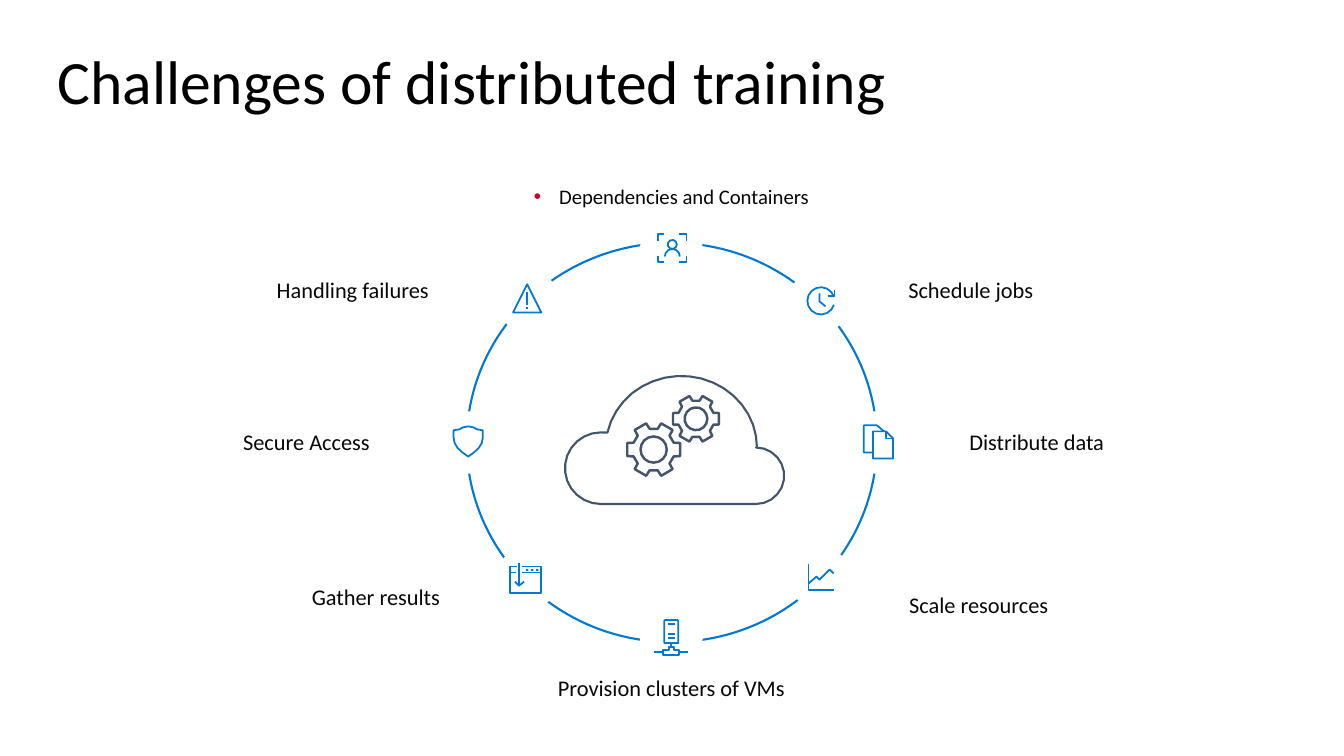
from math import cos, radians, sin, sqrt

from lxml import etree
from pptx import Presentation
from pptx import util as u
from pptx.dml.color import RGBColor
from pptx.enum import shapes, text
from pptx.oxml import ns

BLACK = RGBColor(0x00, 0x00, 0x00)
INK = RGBColor(0x08, 0x08, 0x08)
WHITE = RGBColor(0xFF, 0xFF, 0xFF)
BLUE = RGBColor(0x00, 0x78, 0xD4)
SLATE = RGBColor(0x44, 0x54, 0x6A)
BULLET_RED = "D3002D"

deck = Presentation()
deck.slide_width, deck.slide_height = u.Inches(40 / 3), u.Inches(7.5)
CELL = deck.slide_height / 750
FINE = 10
slide = deck.slides.add_slide(deck.slide_layouts[5])


def arc(cx, cy, rx, start, end, ry=None):
    steps = max(1, int(abs(end - start) * sqrt(rx) / 80))
    angles = [radians(start + (end - start) * i / steps) for i in range(steps + 1)]
    return [(cx + rx * cos(a), cy + (ry or rx) * sin(a)) for a in angles]


def draw(left, top, strokes, color, width, filled=False):
    moved = [[((left + x) * FINE, (top + y) * FINE) for x, y in s] for s in strokes]
    pen = slide.shapes.build_freeform(*moved[0][0], scale=CELL / FINE)
    for number, stroke in enumerate(moved):
        if number:
            pen.move_to(*stroke[0])
        pen.add_line_segments(stroke[1:], close=False)
    outline = pen.convert_to_shape()
    outline.shadow.inherit = False
    if filled:
        outline.fill.solid()
        outline.fill.fore_color.rgb = WHITE
    else:
        outline.fill.background()
    outline.line.color.rgb = color
    outline.line.width = u.Pt(width)


shield_side = [(14.5, 0), (19.5, 1), (23.5, 3), (29, 4), (29, 11),
               (27.9, 16.6), (24.9, 21.6), (20.1, 26), (14.5, 30)]
shield = shield_side + [(29 - x, y) for x, y in shield_side[-2::-1]]

person = [
    [(28, 22), (28, 28), (21, 28)], [(28, 7), (28, 0), (21, 0)],
    [(6, 0), (0, 0), (0, 7)], [(0, 22), (0, 28), (6, 28)],
    arc(14, 10.5, 4.5, 0, 360), arc(14, 22.5, 7.5, 0, -180),
]
clock = [
    [(18, 19), (12, 14), (12, 6)], [(20, 9), (27, 9), (27, 3)],
    arc(13.5, 13.5, 13.5, -17, -343),
]
documents = [
    [(29, 13), (22, 13), (22, 6)],
    [(29, 13), (22, 6), (9, 6), (9, 33), (29, 33), (29, 13)],
    [(20, 6), (13, 0), (0, 0), (0, 27), (9, 27)],
]
graph = [
    [(25, 25), (0, 25), (0, 0)],
    [(25, 9), (21, 5), (11, 15), (8, 12), (0, 19)],
]
server = [
    [(9, 35), (9, 30), (15, 30), (15, 27), (20, 27), (20, 30), (25, 30), (25, 35), (9, 35)],
    [(0, 32), (9, 32)], [(25, 32), (34, 32)], [(17, 27), (17, 23)],
    [(24, 23), (24, 1), (23, 0), (11, 0), (10, 1), (10, 23), (24, 23)],
] + [[(14, y), (21, y)] for y in (4, 14, 18)]
window = [
    [(12, 3), (31, 3), (31, 29), (0, 29), (0, 3), (7, 3)],
    [(12, 9), (31, 9)], [(0, 9), (6, 9)],
    [(5, 18), (9, 22), (14, 18)], [(9, 0), (9, 22)],
] + [arc(x, 6.5, 0.5, 0, 360 - 1) for x in (17, 22, 27)]
warning = [
    [(0, 28), (14, 0), (28, 28), (0, 28)],
    [(14, 8), (14, 21)], [(14, 23), (14, 25)],
]

BADGE = 62
badges = [
    (635, 215, 653, 232, person),
    (782, 268, 801, 285, clock),
    (839, 408, 857, 422, documents),
    (783, 543, 802, 560, graph),
    (635, 603, 649, 615, server),
    (492, 543, 506, 559, window),
    (433, 408, 450, 423, [shield]),
    (492, 267, 509, 282, warning),
]
ovals = [(463, 241, 407, 396)] + [(x, y, BADGE, BADGE) for x, y, *_ in badges]
for number, box in enumerate(ovals):
    oval = slide.shapes.add_shape(shapes.MSO_SHAPE.OVAL, *[round(v * CELL) for v in box])
    oval.shadow.inherit = False
    oval.fill.solid()
    oval.fill.fore_color.rgb = WHITE
    if number:
        oval.line.fill.background()
    else:
        oval.line.color.rgb = BLUE
        oval.line.width = u.Pt(1.5)

for _, _, left, top, strokes in badges:
    draw(left, top, strokes, BLUE, 1.25)

cloud = (arc(750, 472, 28, 90, -90) + arc(676, 444, 75, 0, -168, ry=71)
         + arc(596, 464.5, 35.5, -90, -270) + [(750, 500)])
draw(0, 0, [cloud], SLATE, 1.5, filled=True)

for cx, cy, size in ((648.5, 446, 1), (690.5, 415.5, 0.87)):
    rim = []
    for tooth in range(0, 360, 60):
        rim += arc(0, 0, 27 * size, tooth - 14, tooth + 14)
        rim += arc(0, 0, 21 * size, tooth + 19, tooth + 41)
    draw(cx, cy, [rim + rim[:1], arc(0, 0, 13 * size, 0, 360)], SLATE, 1.75)

HEADING, CHALLENGE, LABEL = "heading", "challenge", "label"
styles = {
    HEADING: (44, BLACK, (10, 18, 0, 0), text.PP_ALIGN.LEFT, 0.9),
    CHALLENGE: (14.8, INK, (10, 5, 10, 5), text.PP_ALIGN.CENTER, 0.9),
    LABEL: (16, INK, (2, 2, 2, 2), text.PP_ALIGN.CENTER, 1.0),
}
wording = [
    ("Challenges of distributed training", HEADING, (47, 33, 1240, 83)),
    ("Dependencies and Containers", CHALLENGE, (510, 180, 312, 48)),
    ("Schedule jobs", LABEL, (839, 272, 248, 57)),
    ("Distribute data", LABEL, (892, 423, 273, 52)),
    ("Scale resources", LABEL, (825, 584, 292, 53)),
    ("Provision clusters of VMs", LABEL, (527, 667, 278, 80)),
    ("Gather results", LABEL, (242, 577, 262, 60)),
    ("Secure Access", LABEL, (173, 423, 262, 48)),
    ("Handling failures", LABEL, (211, 272, 278, 58)),
]
for words, role, box in wording:
    size, color, insets, alignment, spacing = styles[role]
    place = [round(v * CELL) for v in box]
    if role == HEADING:
        holder = slide.shapes.title
        for side, value in zip(("left", "top", "width", "height"), place):
            setattr(holder, side, value)
    else:
        holder = slide.shapes.add_textbox(*place)
    frame = holder.text_frame
    frame.text = words
    frame_format = {"word_wrap": True, "auto_size": text.MSO_AUTO_SIZE.NONE,
                    "vertical_anchor": text.MSO_ANCHOR.TOP}
    for side, inset in zip(("left", "top", "right", "bottom"), insets):
        frame_format["margin_" + side] = round(inset * CELL)
    for key, value in frame_format.items():
        setattr(frame, key, value)
    line = frame.paragraphs[0]
    for key, value in {"alignment": alignment, "line_spacing": spacing}.items():
        setattr(line, key, value)
    if role == CHALLENGE:
        props = line._p.get_or_add_pPr()
        indent = round(25 * CELL)
        props.set("marL", str(indent))
        props.set("indent", str(-indent))
        tint = etree.SubElement(props, ns.qn("a:buClr"))
        etree.SubElement(tint, ns.qn("a:srgbClr"), val=BULLET_RED)
        etree.SubElement(props, ns.qn("a:buFont"), typeface="Arial")
        etree.SubElement(props, ns.qn("a:buChar"), char="•")
    font = line.runs[0].font
    for key, value in {"name": "Calibri", "size": u.Pt(size)}.items():
        setattr(font, key, value)
    font.color.rgb = color

deck.save("out.pptx")
